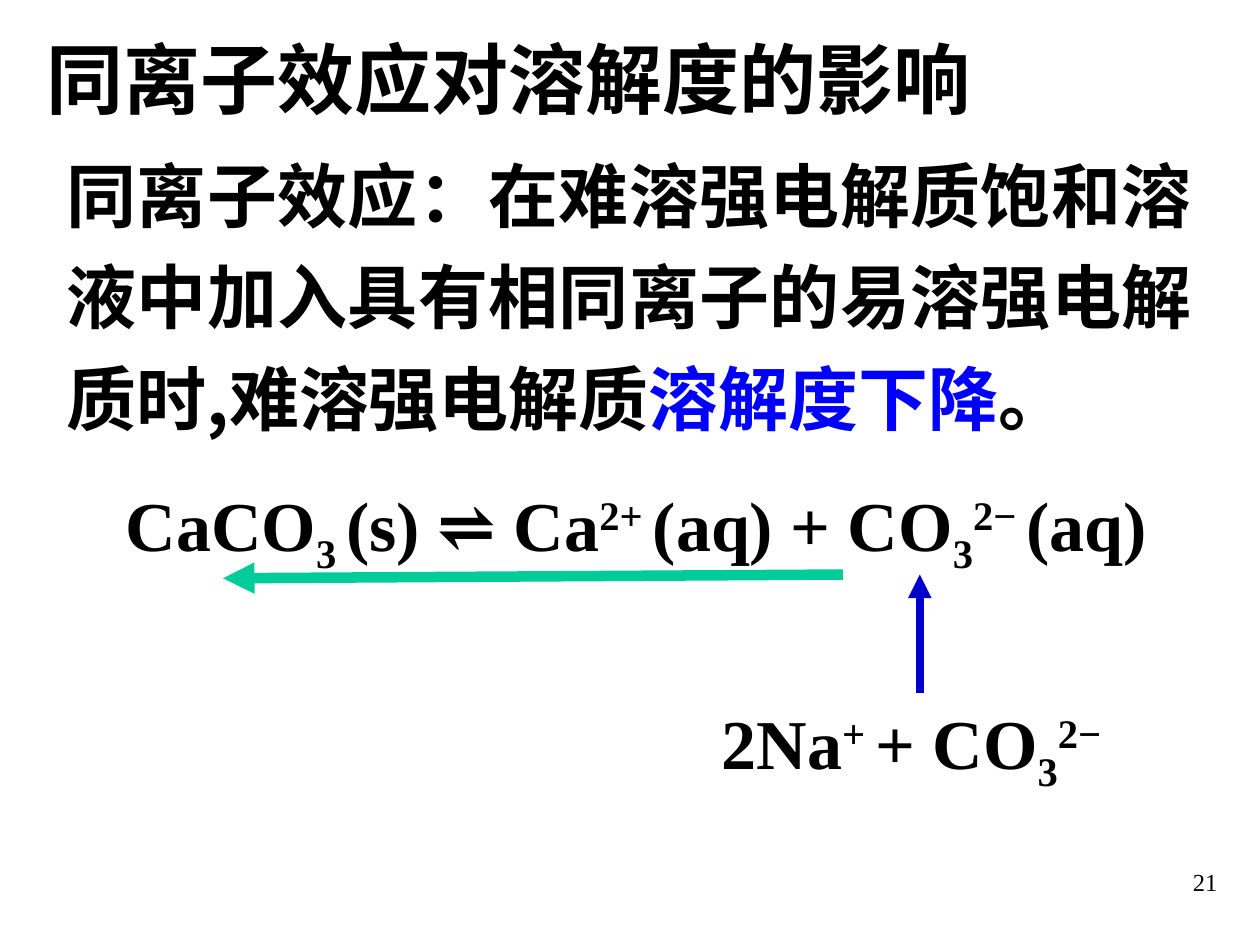
from dataclasses import dataclass
from typing import Optional

from lxml.etree import SubElement
from pptx import Presentation
from pptx.dml.color import RGBColor
from pptx.enum.shapes import MSO_CONNECTOR
from pptx.enum.text import MSO_ANCHOR, MSO_AUTO_SIZE, PP_ALIGN
from pptx.oxml.ns import qn
from pptx.util import Inches, Pt

BLACK = RGBColor(0x00, 0x00, 0x00)
BLUE = RGBColor(0x00, 0x00, 0xFF)
NAVY = RGBColor(0x00, 0x00, 0xCC)
GREEN = RGBColor(0x00, 0xCC, 0x99)
SANS = "Noto Sans CJK SC"
SERIF = "Times New Roman"
SUB, SUPER = -25, 30


@dataclass
class Part:
    """A stretch of text with its own colour or baseline shift in percent."""
    text: str
    color: RGBColor = BLACK
    shift: int = 0


@dataclass
class Box:
    left: float
    top: float
    width: float
    height: float


def add_text(slide, box: Box, *parts: Part, size: float = 40, font: str = SERIF,
             bold: bool = True, align: Optional[PP_ALIGN] = None,
             anchor: MSO_ANCHOR = MSO_ANCHOR.TOP, line_spacing=None,
             wrap: bool = True, grow: bool = False):
    label = slide.shapes.add_textbox(Inches(box.left), Inches(box.top),
                                     Inches(box.width), Inches(box.height))
    frame = label.text_frame
    frame.word_wrap = wrap
    frame.vertical_anchor = anchor
    if grow:
        frame.auto_size = MSO_AUTO_SIZE.SHAPE_TO_FIT_TEXT
    paragraph = frame.paragraphs[0]
    paragraph.alignment = align
    paragraph.line_spacing = line_spacing
    for part in parts:
        run = paragraph.add_run()
        run.text = part.text
        run.font.size = Pt(size)
        run.font.bold = bold
        run.font.name = font
        run.font.color.rgb = part.color
        properties = run.font._element
        SubElement(properties, qn("a:ea")).set("typeface", SANS)
        if part.shift:
            properties.set("baseline", str(part.shift * 1000))
    return label


def add_arrow(slide, start: tuple[float, float], end: tuple[float, float],
              color: RGBColor, width: float):
    arrow = slide.shapes.add_connector(MSO_CONNECTOR.STRAIGHT,
                                       *map(Inches, start + end))
    arrow.line.color.rgb = color
    arrow.line.width = Pt(width)
    SubElement(arrow.line._get_or_add_ln(), qn("a:tailEnd")).set("type", "triangle")
    SubElement(arrow._element.spPr, qn("a:effectLst"))
    return arrow


def main() -> None:
    deck = Presentation()
    deck.slide_width, deck.slide_height = Inches(10), Inches(7.5)
    slide = deck.slides.add_slide(deck.slide_layouts[6])

    # Title and definition
    add_text(slide, Box(0.27, 0.13, 8.5, 0.97), Part("同离子效应对溶解度的影响"),
             size=44, align=PP_ALIGN.JUSTIFY, anchor=MSO_ANCHOR.MIDDLE)
    add_text(slide, Box(0.43, 1.02, 9.13, 2.5),
             Part("同离子效应：在难溶强电解质饱和溶液中加入具有相同离子的"
                  "易溶强电解质时,难溶强电解质"),
             Part("溶解度下降", BLUE), Part("。"),
             font=SANS, align=PP_ALIGN.JUSTIFY, line_spacing=Pt(58), grow=True)

    # Dissolution equilibrium
    add_text(slide, Box(0.9, 3.77, 8.43, 0.77),
             Part("CaCO"), Part("3 ", shift=SUB), Part("(s) ⇌ Ca"),
             Part("2+ ", shift=SUPER), Part("(aq) + CO"), Part("3", shift=SUB),
             Part("2− ", shift=SUPER), Part("(aq)"), grow=True)

    # Added salt that shares the carbonate ion
    salt = add_text(slide, Box(5.63, 5.5, 3.34, 0.77),
                    Part("2Na"), Part("+ ", shift=SUPER), Part("+ CO"),
                    Part("3", shift=SUB), Part("2−", shift=SUPER),
                    wrap=False, grow=True)

    # Salt feeds the carbonate, which shifts the equilibrium left
    salt_arrow = add_arrow(slide, (7.3, 5.5), (7.3, 4.56), NAVY, 4.5)
    salt_arrow.begin_connect(salt, 0)
    add_arrow(slide, (6.69, 4.56), (1.77, 4.59), GREEN, 6)

    # Page number
    add_text(slide, Box(7.68, 6.83, 2.08, 0.5), Part("21"),
             size=14, bold=False, align=PP_ALIGN.RIGHT)

    deck.save("out.pptx")


if __name__ == "__main__":
    main()
